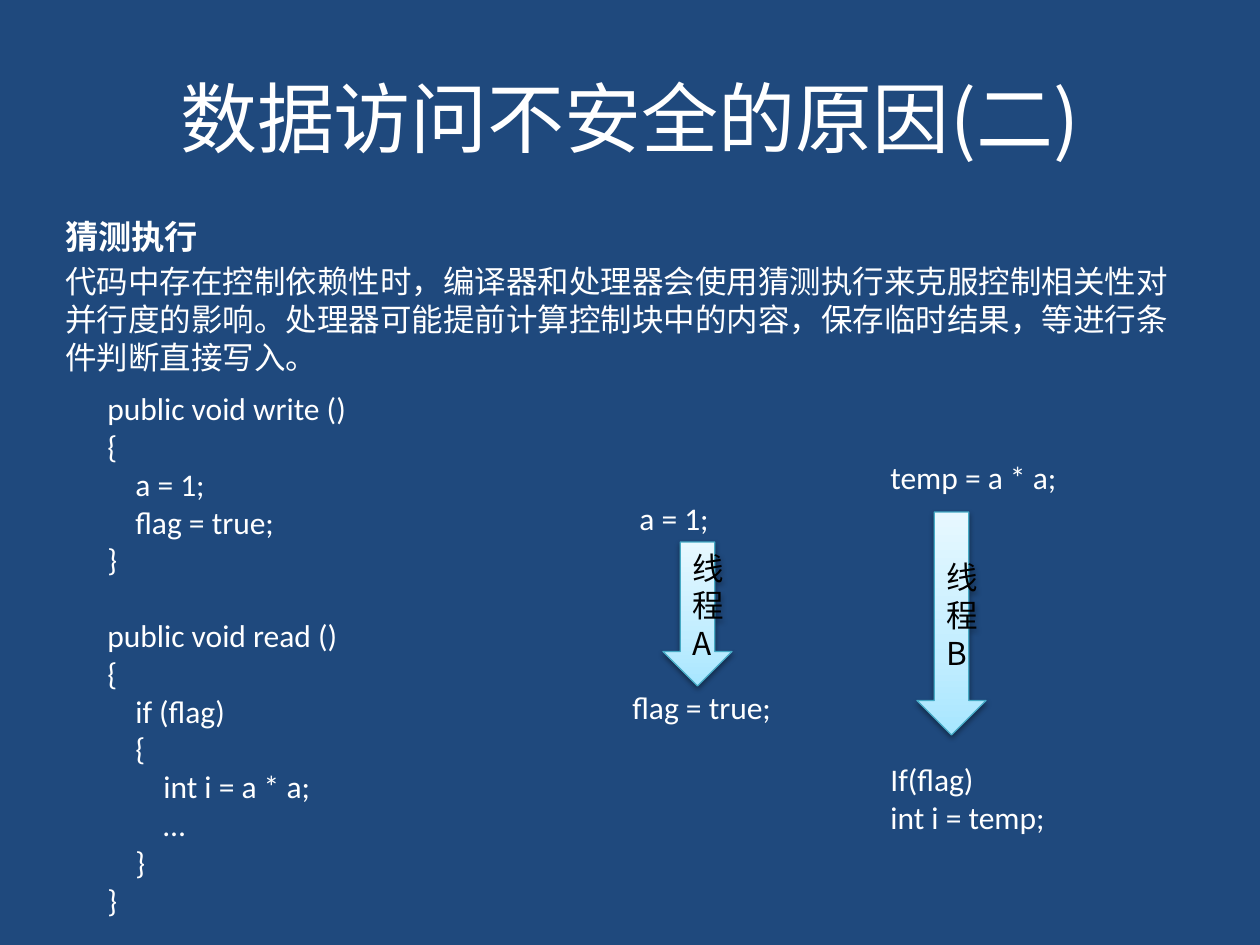
"""Build the slide on speculative execution and unsafe data access."""
from lxml import etree
from pptx import Presentation
from pptx.dml.color import RGBColor
from pptx.enum.shapes import MSO_SHAPE
from pptx.enum.text import MSO_ANCHOR, PP_ALIGN
from pptx.util import Emu, Pt

DOWN = MSO_SHAPE.DOWN_ARROW
MID, TOP = MSO_ANCHOR.MIDDLE, MSO_ANCHOR.TOP
LEFT, CENTER = PP_ALIGN.LEFT, PP_ALIGN.CENTER
NAVY = RGBColor(0x1F, 0x49, 0x7D)
WHITE = RGBColor(0xFF, 0xFF, 0xFF)
BLACK = RGBColor(0, 0, 0)
TEAL = RGBColor(0x46, 0xAA, 0xC5)
STOPS = [(0, RGBColor(0xA7, 0xE6, 0xFF)), (35, RGBColor(0xC1, 0xED, 0xFF)),
         (100, RGBColor(0xE7, 0xF8, 0xFF))]
LATIN, HAN = "Calibri", "Noto Sans CJK SC"
PX = 914400 // 126
STEP = 28
NS = "http://schemas.openxmlformats.org/drawingml/2006/main"

TITLE = "数据访问不安全的原因(二)"
HEAD = "猜测执行"
BODY = ("代码中存在控制依赖性时，编译器和处理器会使用猜测执行来克服控制相关性对"
        "并行度的影响。处理器可能提前计算控制块中的内容，保存临时结果，等进行条"
        "件判断直接写入。")
CODE = [
    (0, "public void write ()"), (0, "{"), (1, "a = 1;"),
    (1, "flag = true;"), (0, "}"),
    (0, "public void read ()", {"before": 21.6}), (0, "{"),
    (1, "if (flag)"), (1, "{"), (2, "int i = a * a;"), (2, "…"),
    (1, "}"), (0, "}"),
]
TEXTS = [
    ((63, 38, 1134, 158), [(0, TITLE, {"size": 44, "font": HAN, "align": CENTER})], MID),
    ((53, 210, 1134, 173),
     [(0, HEAD, {"size": 19, "bold": True, "before": 3.8}), (0, BODY, {"before": 3.6})], TOP),
    ((95, 383, 318, 547), CODE, TOP),
    ((627, 493, 200, 50), [(0, "a = 1;")], TOP),
    ((620, 682, 228, 50), [(0, "flag = true;")], TOP),
    ((878, 452, 287, 50), [(0, "temp = a * a;")], TOP),
    ((878, 754, 287, 88), [(0, "If(flag)"), (0, "int i = temp;")], TOP),
]
ARROWS = [((663, 542, 69, 144), "线程A"), ((917, 512, 69, 223), "线程B")]
BASE = {"size": 18, "font": LATIN, "bold": False, "color": WHITE,
        "align": LEFT, "before": 0}


def emu(box):
    return [Emu(n * PX) for n in box]


def write(shape, lines, anchor):
    frame = shape.text_frame
    frame.word_wrap = True
    frame.vertical_anchor = anchor
    for i, (depth, text, *extra) in enumerate(lines):
        look = {**BASE, **(extra[0] if extra else {})}
        para = frame.add_paragraph() if i else frame.paragraphs[0]
        para.alignment = look["align"]
        para.space_before = Pt(look["before"])
        if depth:
            para._p.get_or_add_pPr().set("marL", str(depth * STEP * PX))
        run = para.add_run()
        run.text = text
        form = {"size": Pt(look["size"]), "name": look["font"], "bold": look["bold"]}
        for key, val in form.items():
            setattr(run.font, key, val)
        run.font.color.rgb = look["color"]


def paint(shape):
    shape.line.color.rgb = TEAL
    shape.line.width = Pt(0.75)
    props = shape._element.spPr
    stops = "".join(f'<a:gs pos="{at * 1000}"><a:srgbClr val="{tone}"/></a:gs>'
                    for at, tone in STOPS)
    grad = (f'<a:gradFill xmlns:a="{NS}" rotWithShape="1"><a:gsLst>{stops}</a:gsLst>'
            '<a:lin ang="16200000" scaled="0"/></a:gradFill>')
    props.insert(2, etree.fromstring(grad))
    glow = (f'<a:effectLst xmlns:a="{NS}"><a:outerShdw blurRad="40000" dist="20000" '
            'dir="5400000" rotWithShape="0"><a:srgbClr val="000000">'
            '<a:alpha val="38000"/></a:srgbClr></a:outerShdw></a:effectLst>')
    props.append(etree.fromstring(glow))


deck = Presentation()
deck.slide_width, deck.slide_height = emu((1260, 945))
slide = deck.slides.add_slide(deck.slide_layouts[6])
slide.background.fill.solid()
slide.background.fill.fore_color.rgb = NAVY

for box, lines, anchor in TEXTS:
    write(slide.shapes.add_textbox(*emu(box)), lines, anchor)

for box, name in ARROWS:
    arrow = slide.shapes.add_shape(DOWN, *emu(box))
    paint(arrow)
    write(arrow, [(0, name, {"font": HAN, "color": BLACK, "align": CENTER})], MID)

deck.save("out.pptx")
